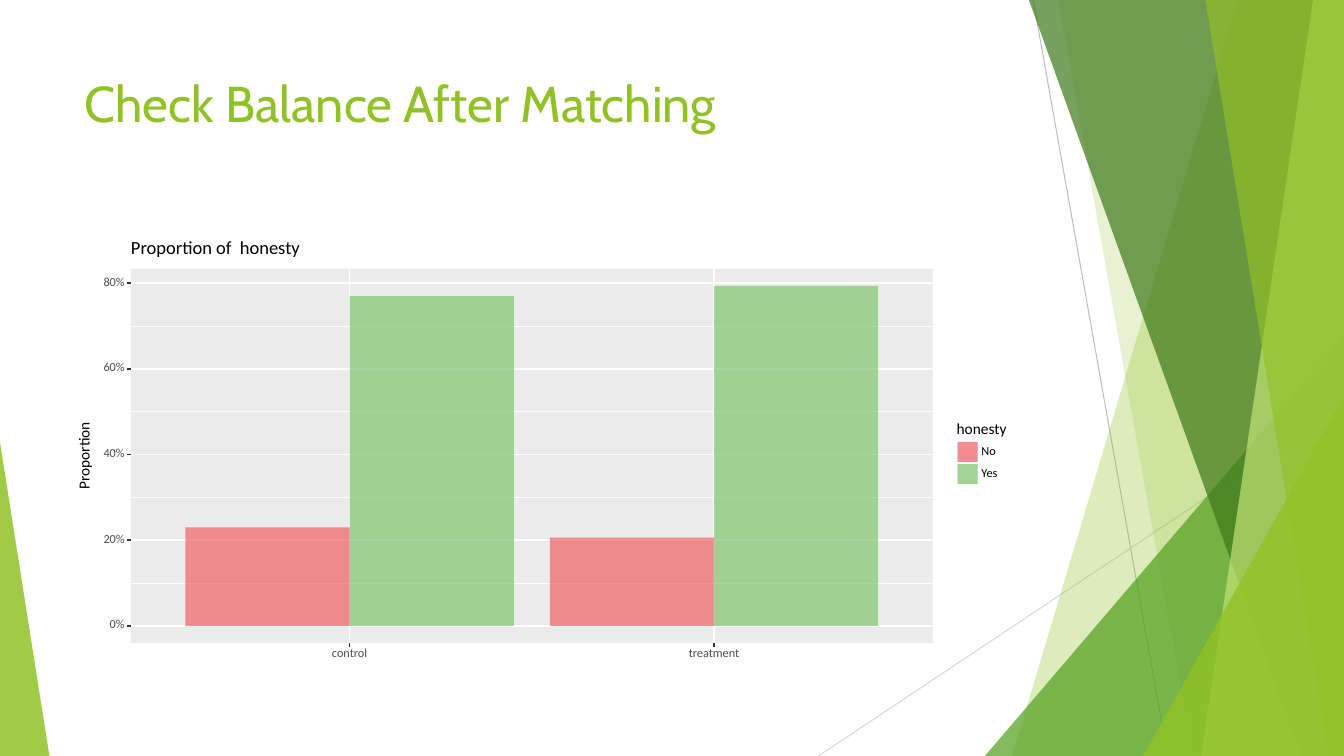
from lxml import etree
from pptx import Presentation
from pptx import util as u
from pptx.chart.data import CategoryChartData
from pptx.dml.color import RGBColor
from pptx.enum import chart as charts, shapes, text
from pptx.oxml import parse_xml
from pptx.oxml.ns import nsdecls, qn

Pt = u.Pt
WIDTH, HEIGHT = 960, 540
LIME, WHITE, PANEL, INK, GREY, TICK = (
    "90C226", "FFFFFF", "EBEBEB", "000000", "4D4D4D", "333333")
LEFT, CENTER, RIGHT = text.PP_ALIGN.LEFT, text.PP_ALIGN.CENTER, text.PP_ALIGN.RIGHT

CATEGORIES = ("control", "treatment")
SERIES = (("No", (0.23, 0.206), "F15A60"), ("Yes", (0.77, 0.794), "7AC36A"))
BAR_ALPHA = 67


def color(hex_string):
    return RGBColor.from_string(hex_string)


def paint(fill, hex_string, alpha=100):
    fill.solid()
    fill.fore_color.rgb = color(hex_string)
    if alpha < 100:
        # The fill's colour element takes the opacity as a child
        clr = fill._xPr.find(qn("a:solidFill"))[0]
        etree.SubElement(clr, qn("a:alpha")).set("val", str(alpha * 1000))


def style(sp, hex_string, alpha=100):
    sp.shadow.inherit = False
    sp.line.fill.background()
    paint(sp.fill, hex_string, alpha)
    return sp


def add_box(slide, kind, box, hex_string, alpha=100):
    sp = slide.shapes.add_shape(kind, *map(Pt, box))
    return style(sp, hex_string, alpha)


def add_line(slide, x1, y1, x2, y2, hex_string, width):
    ln = slide.shapes.add_connector(
        shapes.MSO_CONNECTOR.STRAIGHT, Pt(x1), Pt(y1), Pt(x2), Pt(y2))
    ln.line.color.rgb = color(hex_string)
    ln.line.width = Pt(width)
    etree.SubElement(ln._element.spPr, qn("a:effectLst"))


def add_label(slide, words, box, size, hex_string=INK, align=LEFT):
    sp = slide.shapes.add_textbox(*map(Pt, box))
    tf = sp.text_frame
    tf.word_wrap = True
    tf.vertical_anchor = text.MSO_ANCHOR.MIDDLE
    tf.margin_left = tf.margin_right = tf.margin_top = tf.margin_bottom = 0
    tf.text = words
    p = tf.paragraphs[0]
    p.alignment = align
    p.line_spacing = Pt(size)
    r = p.runs[0]
    r.font.name, r.font.size = "Calibri", Pt(size)
    r.font.color.rgb = color(hex_string)
    return sp


def add_triangle(slide, box, apex, hex_string, alpha):
    sp = add_box(slide, shapes.MSO_SHAPE.ISOSCELES_TRIANGLE, box, hex_string, alpha)
    sp.adjustments[0] = apex


def add_facet(slide, top_x, bottom_x, hex_string, alpha):
    """Fill the slide from a slanted left edge to its right side."""
    outline = [(WIDTH, 0), (WIDTH, HEIGHT), (bottom_x, HEIGHT)]
    fb = slide.shapes.build_freeform(Pt(top_x), 0)
    fb.add_line_segments([(Pt(x), Pt(y)) for x, y in outline])
    style(fb.convert_to_shape(), hex_string, alpha)


def add_backdrop(slide):
    add_line(slide, 738, 0, 834, HEIGHT, "BFBFBF", 0.75)
    add_line(slide, WIDTH, 290, 584.6, HEIGHT, "D9D9D9", 0.75)
    add_facet(slide, 884, 723, LIME, 30)
    add_facet(slide, 756, 852, LIME, 20)
    add_triangle(slide, (703.5, 240, 256.5, 300), 1, "54A021", 72)
    add_facet(slide, 735, 929.5, "3F7819", 70)
    add_facet(slide, 938, 858, "C0E474", 70)
    add_facet(slide, 861, 949, LIME, 65)
    add_triangle(slide, (816.5, 283, 143.5, 257), 1, LIME, 80)
    add_triangle(slide, (0, 316, 35.3, 224), 0, LIME, 85)


def add_title(slide, words, box):
    sp = slide.shapes.add_textbox(*map(Pt, box))
    tf = sp.text_frame
    tf.word_wrap = True
    tf.text = words
    r = tf.paragraphs[0].runs[0]
    r.font.name, r.font.size = "Cabin", Pt(36)
    r.font.color.rgb = color(LIME)


def add_bars(slide, box, top_value):
    data = CategoryChartData(number_format="0.0%")
    data.categories = CATEGORIES
    for name, values, _ in SERIES:
        data.add_series(name, values)
    chart = slide.shapes.add_chart(
        charts.XL_CHART_TYPE.COLUMN_CLUSTERED, *map(Pt, box), data).chart
    chart.has_legend = chart.has_title = False
    chart.font.name, chart.font.size = "Calibri", Pt(8.8)
    chart.font.color.rgb = color(GREY)
    axis = chart.value_axis
    axis.minimum_scale, axis.maximum_scale = 0, top_value
    axis.has_major_gridlines = False
    axis.visible = chart.category_axis.visible = False

    plot = chart.plots[0]
    plot.vary_by_categories = False
    plot.gap_width, plot.overlap = 22, 0
    for series, (_, _, fill) in zip(plot.series, SERIES):
        paint(series.format.fill, fill, BAR_ALPHA)

    # The plot fills the whole frame, and the panel shows through
    area = chart._chartSpace.chart.plotArea
    for old in area.findall(qn("c:layout")):
        area.remove(old)
    area.insert(0, parse_xml(
        f'<c:layout {nsdecls("c")}><c:manualLayout><c:layoutTarget val="inner"/>'
        '<c:xMode val="edge"/><c:yMode val="edge"/><c:x val="0"/><c:y val="0"/>'
        '<c:w val="1"/><c:h val="1"/></c:manualLayout></c:layout>'))
    chart._chartSpace.chart.addnext(parse_xml(
        f'<c:spPr {nsdecls("c", "a")}><a:noFill/><a:ln><a:noFill/></a:ln></c:spPr>'))


def add_plot(slide, box):
    left, top, width, height = box
    right, bottom = left + width, top + height
    zero, tenth = bottom - 12.2, 30.6
    pitch = width / 2.2
    centers = [left + pitch * (0.6 + i) for i in range(len(CATEGORIES))]

    # Panel, grid, ticks and axis labels
    add_box(slide, shapes.MSO_SHAPE.RECTANGLE, box, PANEL)
    for i in range(1, 8, 2):
        y = zero - i * tenth
        add_line(slide, left, y, right, y, WHITE, 0.53)
    for i in range(0, 9, 2):
        y = zero - i * tenth
        add_line(slide, left, y, right, y, WHITE, 1.07)
        add_line(slide, left - 3, y, left, y, TICK, 1.07)
        add_label(slide, f"{i * 10}%", (left - 35, y - 5.5, 30.5, 10), 8.8, GREY, RIGHT)
    for x, name in zip(centers, CATEGORIES):
        add_line(slide, x, bottom, x, top, WHITE, 1.07)
        add_line(slide, x, bottom, x, bottom + 3, TICK, 1.07)
        add_label(slide, name, (x - 40, bottom + 2.5, 80, 10), 8.8, GREY, CENTER)

    # Bars
    add_bars(slide, (centers[0] - pitch / 2, top, pitch * len(CATEGORIES), zero - top),
             round((zero - top) / tenth / 10, 3))

    # Headings
    add_label(slide, "Proportion of  honesty", (left, top - 22, 200, 16), 13.2)
    sp = add_label(slide, "Proportion", (left - 62.8, top + height / 2 - 6, 60, 12),
                   11, align=CENTER)
    sp.rotation = 270


def add_legend(slide, box):
    left, top, width, key = box
    add_label(slide, "honesty", (left, top, width, 10), 11)
    for i, (name, _, fill) in enumerate(SERIES):
        y = top + 13 + i * key
        back = add_box(slide, shapes.MSO_SHAPE.RECTANGLE, (left, y, key, key), "F2F2F2")
        back.line.color.rgb = color(WHITE)
        back.line.width = Pt(1.07)
        add_box(slide, shapes.MSO_SHAPE.RECTANGLE,
                (left + 0.7, y + 0.7, key - 1.4, key - 1.4), fill, BAR_ALPHA)
        add_label(slide, name, (left + key + 2, y + 2.5, 30, 10), 8.8)


def main():
    prs = Presentation()
    prs.slide_width, prs.slide_height = Pt(WIDTH), Pt(HEIGHT)
    slide = prs.slides.add_slide(prs.slide_layouts[6])
    add_backdrop(slide)
    add_title(slide, "Check Balance After Matching", (53.3, 48, 677, 104))
    add_plot(slide, (93.6, 192, 572.6, 267.3))
    add_legend(slide, (683.3, 302, 45, 15.8))
    prs.save("out.pptx")


if __name__ == "__main__":
    main()
